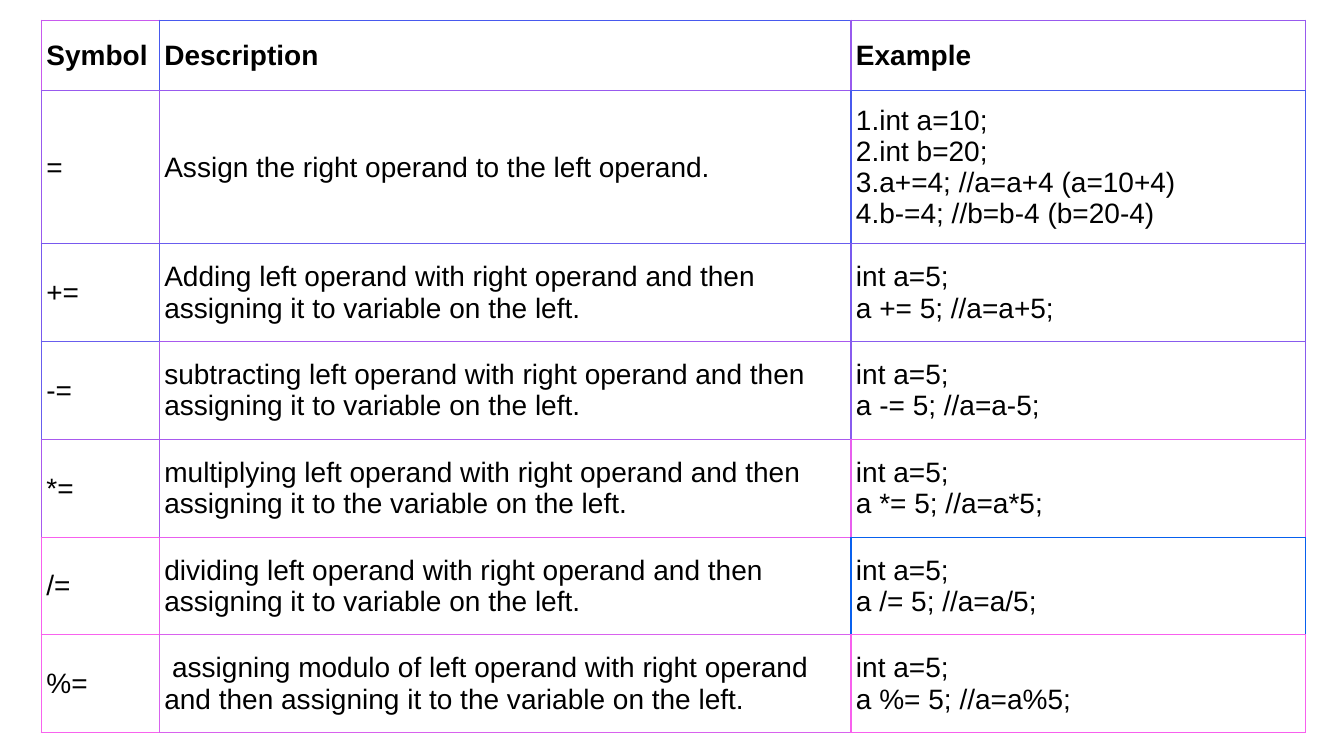
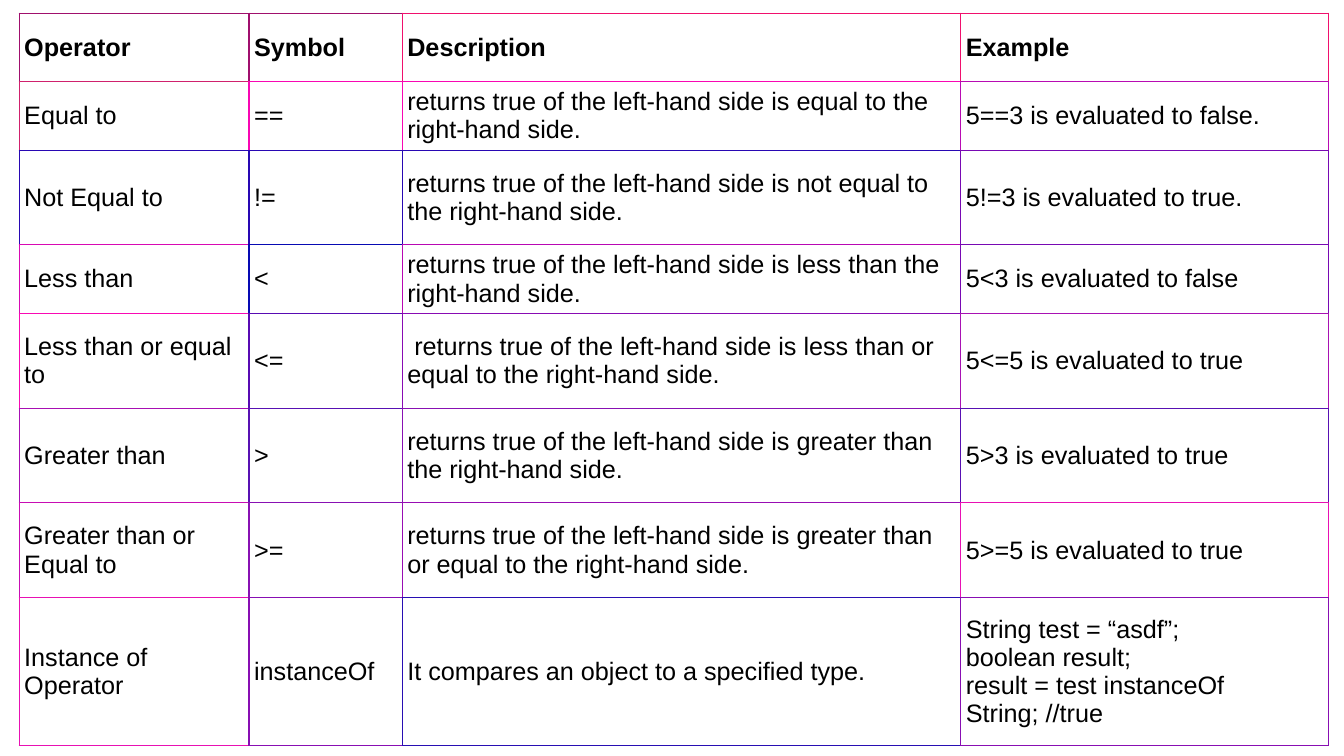
"""Build two slides of operator tables with coloured cell borders."""
from lxml.etree import SubElement
from pptx import Presentation
from pptx.dml.color import RGBColor
from pptx.enum.text import MSO_ANCHOR
from pptx.oxml.ns import qn
from pptx.util import Inches, Pt

FONT = "Arial"
BLACK = RGBColor(0x00, 0x00, 0x00)
WHITE = RGBColor(0xFF, 0xFF, 0xFF)
INNER_LINE = Pt(1)
OUTER_LINE = Pt(0.75)
CELL_MARGIN = Inches(0.05)


def color_grid(rows):
    return [[RGBColor.from_string(code) for code in row.split()] for row in rows]


ASSIGNMENT_COLORS = color_grid([
    "C85AEE 4859EE 985AEE",
    "985AEE 985AEE 4859EE",
    "7859EE 685DEE 7859EE",
    "685DEE A859EE 885BEE",
    "A859EE A859EE E85EEE",
    "F860EE E85EEE 0860EE",
    "F863EE D862EE F860EE",
])
COMPARISON_COLORS = color_grid([
    "A00F6D A00F6D F0106D F0106D",
    "D0216D F807B3 F807B3 B80BB3",
    "2808B3 2808B3 2808B3 7809B3",
    "D809B3 080AB3 B808B3 7809B3",
    "F80AB3 580BB3 880BB3 A812B3",
    "A80FB3 5811B3 8811B3 5811B3",
    "C80DB3 8811B3 980DB3 E811B3",
    "E811B3 880EB3 280EB3 880EB3",
])

ASSIGNMENT_ROWS = [
    ("Symbol", "Description", "Example"),
    ("=", "Assign the right operand to the left operand.",
     "int a=10;\nint b=20;\na+=4; //a=a+4 (a=10+4)\nb-=4; //b=b-4 (b=20-4)"),
    ("+=", "Adding left operand with right operand and then assigning it to variable on the left.",
     "int a=5;\na += 5; //a=a+5;"),
    ("-=", "subtracting left operand with right operand and then assigning it to variable on the left.",
     "int a=5;\na -= 5; //a=a-5;"),
    ("*=", "multiplying left operand with right operand and then assigning it to the variable on the left.",
     "int a=5;\na *= 5; //a=a*5;"),
    ("/=", "dividing left operand with right operand and then assigning it to variable on the left.",
     "int a=5;\na /= 5; //a=a/5;"),
    ("%=", " assigning modulo of left operand with right operand and then assigning it to the variable on the left.",
     "int a=5;\na %= 5; //a=a%5;"),
]
COMPARISON_ROWS = [
    ("Operator", "Symbol", "Description", "Example"),
    ("Equal to", "==", "returns true of the left-hand side is equal to the right-hand side.",
     "5==3 is evaluated to false."),
    ("Not Equal to", "!=", "returns true of the left-hand side is not equal to the right-hand side.",
     "5!=3 is evaluated to true."),
    ("Less than", "<", "returns true of the left-hand side is less than the right-hand side.",
     "5<3 is evaluated to false"),
    ("Less than or equal to", "<=",
     " returns true of the left-hand side is less than or equal to the right-hand side.",
     "5<=5 is evaluated to true"),
    ("Greater than", ">", "returns true of the left-hand side is greater than the right-hand side.",
     "5>3 is evaluated to true"),
    ("Greater than or Equal to", ">=",
     "returns true of the left-hand side is greater than or equal to the right-hand side.",
     "5>=5 is evaluated to true"),
    ("Instance of Operator", "instanceOf", "It compares an object to a specified type.",
     "String test = “asdf”;\nboolean result;\nresult = test instanceOf String; //true"),
]


def add_operator_table(slide, left, top, widths, heights, rows, colors, size):
    last_row, last_column = len(rows) - 1, len(widths) - 1
    table = slide.shapes.add_table(
        len(rows), len(widths), Inches(left), Inches(top),
        Inches(sum(widths)), Inches(sum(heights))).table
    table.first_row = table.horz_banding = False
    for column, width in zip(table.columns, widths):
        column.width = Inches(width)
    for row, height in zip(table.rows, heights):
        row.height = Inches(height)

    for row_index, texts in enumerate(rows):
        for column_index, text in enumerate(texts):
            cell = table.cell(row_index, column_index)
            cell.vertical_anchor = MSO_ANCHOR.MIDDLE
            cell.margin_left = cell.margin_right = CELL_MARGIN
            cell.margin_top = cell.margin_bottom = CELL_MARGIN
            cell.text_frame.text = text
            for paragraph in cell.text_frame.paragraphs:
                for run in paragraph.runs:
                    run.font.name = FONT
                    run.font.size = Pt(size)
                    run.font.bold = row_index == 0
                    run.font.color.rgb = BLACK

            own = colors[row_index][column_index]
            right = (own, OUTER_LINE)
            bottom = (own, OUTER_LINE)
            if column_index < last_column:
                right = (colors[row_index][column_index + 1], INNER_LINE)
            if row_index < last_row:
                bottom = (colors[row_index + 1][column_index], INNER_LINE)
            borders = {"a:lnL": (own, INNER_LINE), "a:lnR": right,
                       "a:lnT": (own, INNER_LINE), "a:lnB": bottom}
            properties = cell._tc.get_or_add_tcPr()
            for tag, (color, line_width) in borders.items():
                line = SubElement(properties, qn(tag), w=str(line_width))
                fill = SubElement(line, qn("a:solidFill"))
                SubElement(fill, qn("a:srgbClr"), val=str(color))
            cell.fill.solid()
            cell.fill.fore_color.rgb = WHITE
    return table


presentation = Presentation()
presentation.slide_width = Inches(13.33)
presentation.slide_height = Inches(7.5)
blank_layout = presentation.slide_layouts[6]

assignment_slide = presentation.slides.add_slide(blank_layout)
assignment_table = add_operator_table(
    assignment_slide, 0.41, 0.2, [1.17, 6.86, 4.51], [0.7, 1.52] + [0.97] * 5,
    ASSIGNMENT_ROWS, ASSIGNMENT_COLORS, 20)
for paragraph in assignment_table.cell(1, 2).text_frame.paragraphs:
    paragraph_properties = paragraph._p.get_or_add_pPr()
    paragraph_properties.set("marL", "0")
    paragraph_properties.set("indent", "0")
    SubElement(paragraph_properties, qn("a:buFont"), typeface=FONT)
    SubElement(paragraph_properties, qn("a:buAutoNum"), type="arabicPeriod")

comparison_slide = presentation.slides.add_slide(blank_layout)
add_operator_table(
    comparison_slide, 0.19, 0.13, [2.28, 1.52, 5.54, 3.65],
    [0.68, 0.68, 0.94, 0.68, 0.94, 0.94, 0.94, 1.47],
    COMPARISON_ROWS, COMPARISON_COLORS, 18)

presentation.save("out.pptx")
